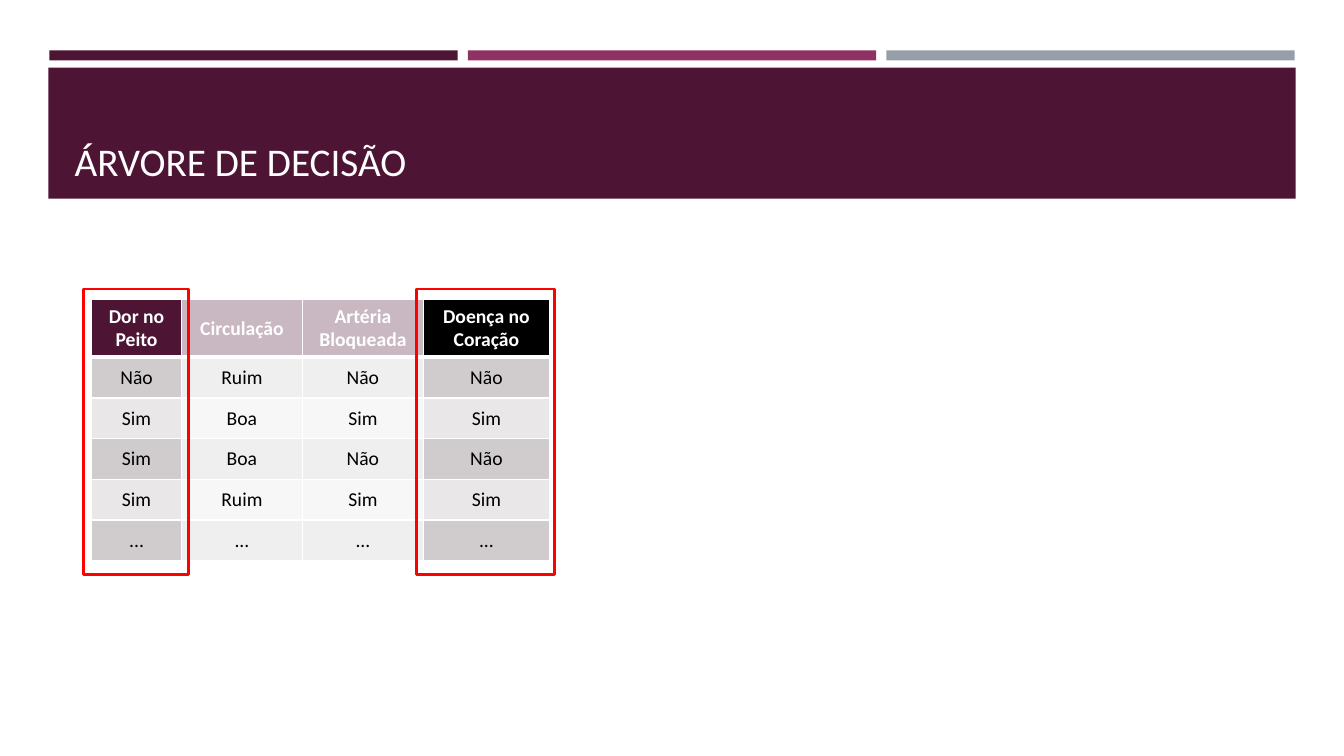
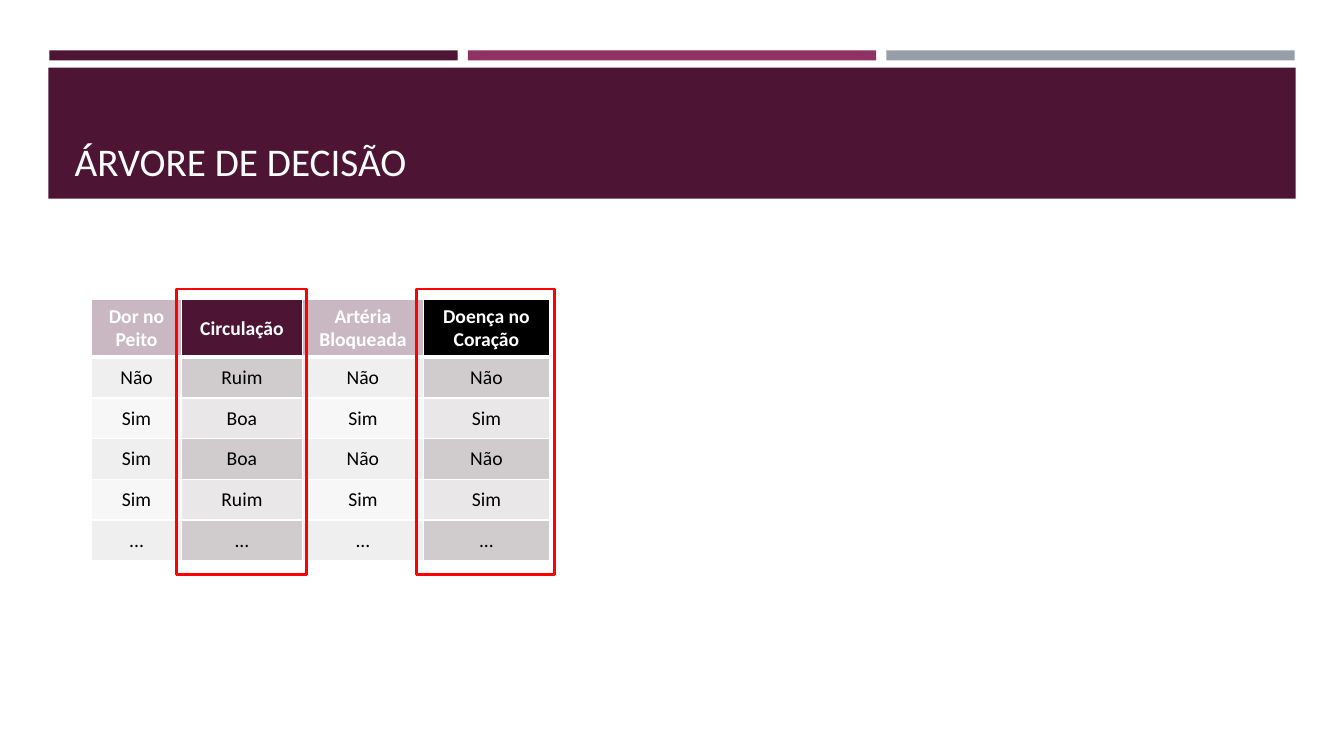
from dataclasses import dataclass

from lxml import etree
from pptx import Presentation
from pptx.dml.color import RGBColor
from pptx.enum.shapes import MSO_SHAPE
from pptx.enum.text import MSO_ANCHOR, MSO_AUTO_SIZE, PP_ALIGN
from pptx.oxml.ns import qn
from pptx.util import Inches, Pt

RECTANGLE = MSO_SHAPE.RECTANGLE
MIDDLE = MSO_ANCHOR.MIDDLE
BOTTOM = MSO_ANCHOR.BOTTOM
NO_AUTOFIT = MSO_AUTO_SIZE.NONE
LEFT = PP_ALIGN.LEFT
CENTER = PP_ALIGN.CENTER
TITLE_ONLY = 5


@dataclass(frozen=True)
class Theme:
    font: str = "Calibri"
    plum: str = "4D1434"
    magenta: str = "903163"
    gray: str = "969FA7"
    dark_row: str = "D0CCCE"
    light_row: str = "E9E7E8"
    black: str = "000000"
    white: str = "FFFFFF"
    red: str = "FF0000"
    title_size: int = 28
    table_size: int = 14
    frame_line: float = 1.75
    border: int = 1
    header_border: int = 3
    faded_percent: int = 30


THEME = Theme()

TITLE = "ÁRVORE DE DECISÃO"
ROWS = [
    ("Dor no Peito", "Circulação", "Artéria Bloqueada", "Doença no Coração"),
    ("Não", "Ruim", "Não", "Não"),
    ("Sim", "Boa", "Sim", "Sim"),
    ("Sim", "Boa", "Não", "Não"),
    ("Sim", "Ruim", "Sim", "Sim"),
    ("...", "...", "...", "..."),
]
TARGET_COLUMN = len(ROWS[0]) - 1
TARGET_FRAME = (4.13, 1.37)
SLIDES = [
    {"feature": 0, "frame": (0.83, 1.04)},
    {"feature": 1, "frame": (1.75, 1.29)},
]

STRIPE_LEFT, STRIPE_TOP, STRIPE_WIDTH, STRIPE_HEIGHT = 0.49, 0.5, 4.05, 0.1
STRIPE_STEP = 4.15
TITLE_BAND = (0.48, 0.67, 12.37, 1.3)
TITLE_BOX = (0.64, 0.77, 12.06, 1.11)
TABLE_LEFT, TABLE_TOP, TABLE_HEIGHT = 0.91, 2.97, 2.59
COLUMN_WIDTHS = [0.89, 1.2, 1.2, 1.25]
HEADER_HEIGHT = 0.57
FRAME_TOP, FRAME_HEIGHT = 2.87, 2.83


def rgb(color):
    return RGBColor.from_string(color)


def set_font(paragraph, size, color, bold=False):
    paragraph.font.name = THEME.font
    paragraph.font.size = Pt(size)
    paragraph.font.bold = bold
    paragraph.font.color.rgb = rgb(color)


def add_rectangle(slide, box, fill=None, line=None):
    shape = slide.shapes.add_shape(RECTANGLE, *map(Inches, box))
    shape.shadow.inherit = False
    if fill:
        shape.fill.solid()
        shape.fill.fore_color.rgb = rgb(fill)
    else:
        shape.fill.background()
    if line:
        shape.line.color.rgb = rgb(line)
        shape.line.width = Pt(THEME.frame_line)
    else:
        shape.line.fill.background()
    return shape


def add_header(slide):
    title = slide.shapes.title
    bands = [(TITLE_BAND, THEME.plum)]
    for index, color in enumerate((THEME.plum, THEME.magenta, THEME.gray)):
        left = STRIPE_LEFT + index * STRIPE_STEP
        bands.append(((left, STRIPE_TOP, STRIPE_WIDTH, STRIPE_HEIGHT), color))
    for box, color in bands:
        title.element.addprevious(add_rectangle(slide, box, fill=color).element)

    title.left, title.top, title.width, title.height = map(Inches, TITLE_BOX)
    frame = title.text_frame
    frame.text = TITLE
    frame.auto_size = NO_AUTOFIT
    frame.vertical_anchor = BOTTOM
    paragraph = frame.paragraphs[0]
    paragraph.alignment = LEFT
    set_font(paragraph, THEME.title_size, THEME.white)


def set_borders(properties, bottom_width):
    widths = {"lnL": THEME.border, "lnR": THEME.border,
              "lnT": THEME.border, "lnB": bottom_width}
    for index, (tag, width) in enumerate(widths.items()):
        line = etree.Element(qn(f"a:{tag}"), w=str(Pt(width)))
        fill = etree.SubElement(line, qn("a:solidFill"))
        etree.SubElement(fill, qn("a:srgbClr"), val=THEME.white)
        properties.insert(index, line)


def cell_color(row, column):
    if row == 0:
        return THEME.black if column == TARGET_COLUMN else THEME.plum
    return THEME.dark_row if row % 2 else THEME.light_row


def format_cell(cell, text, row, column, feature):
    is_header = row == 0
    cell.text = text
    cell.vertical_anchor = MIDDLE
    paragraph = cell.text_frame.paragraphs[0]
    paragraph.alignment = CENTER
    set_font(paragraph, THEME.table_size,
             THEME.white if is_header else THEME.black, is_header)
    cell.fill.solid()
    cell.fill.fore_color.rgb = rgb(cell_color(row, column))
    properties = cell._tc.get_or_add_tcPr()
    if column not in (feature, TARGET_COLUMN):
        color = properties.find(f"{qn('a:solidFill')}/{qn('a:srgbClr')}")
        etree.SubElement(color, qn("a:alpha"), val=str(THEME.faded_percent * 1000))
    set_borders(properties, THEME.header_border if is_header else THEME.border)


def add_data_table(slide, feature):
    table = slide.shapes.add_table(
        len(ROWS), len(COLUMN_WIDTHS), Inches(TABLE_LEFT), Inches(TABLE_TOP),
        Inches(sum(COLUMN_WIDTHS)), Inches(TABLE_HEIGHT)).table
    for column, width in zip(table.columns, COLUMN_WIDTHS):
        column.width = Inches(width)
    body_height = (TABLE_HEIGHT - HEADER_HEIGHT) / (len(ROWS) - 1)
    for row, texts in enumerate(ROWS):
        table.rows[row].height = Inches(body_height if row else HEADER_HEIGHT)
        for column, text in enumerate(texts):
            format_cell(table.cell(row, column), text, row, column, feature)


def main():
    presentation = Presentation()
    presentation.slide_width = Inches(13.33)
    presentation.slide_height = Inches(7.5)
    for content in SLIDES:
        slide = presentation.slides.add_slide(presentation.slide_layouts[TITLE_ONLY])
        add_header(slide)
        add_data_table(slide, content["feature"])
        for left, width in (content["frame"], TARGET_FRAME):
            add_rectangle(slide, (left, FRAME_TOP, width, FRAME_HEIGHT), line=THEME.red)
    presentation.save("out.pptx")


if __name__ == "__main__":
    main()
